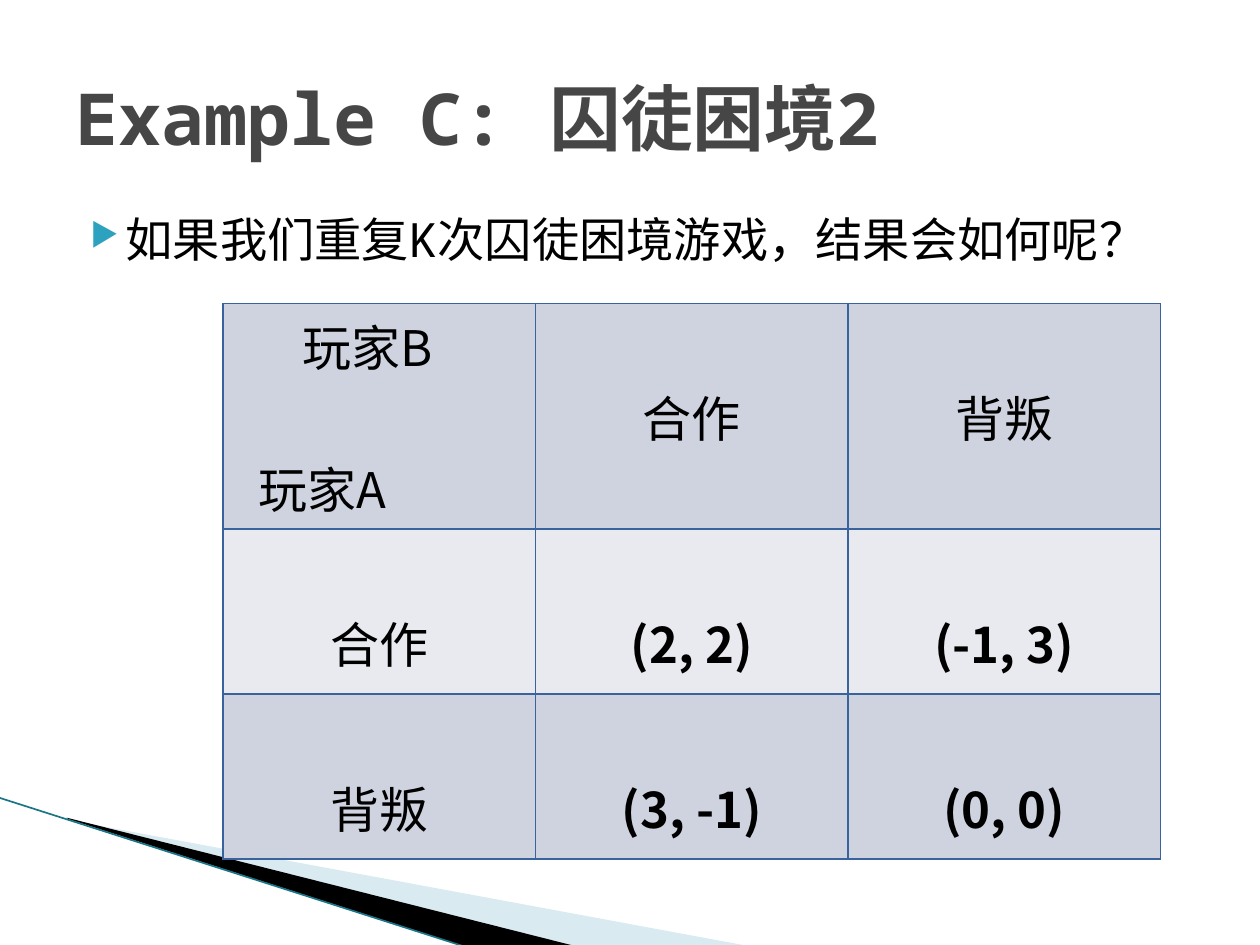
from lxml import etree
from pptx import Presentation
from pptx.dml.color import RGBColor
from pptx.enum.text import MSO_ANCHOR as Anchor, PP_ALIGN as Align
from pptx.oxml.ns import qn
from pptx.util import Inches, Pt

COLORS = {
    "pale": "A0CBDC", "black": "000000", "edge": "1B7587", "bullet": "2DA2BF",
    "title": "464646", "border": "39639D", "band_dark": "CED3DF", "band_light": "E8EAEF",
}
MONO, SANS = "Noto Sans Mono", "Noto Sans CJK SC"


def add_xml(parent, tag, **attributes):
    return etree.SubElement(parent, qn(tag), attributes)


def set_font(paragraph, name, size, color, bold=False):
    font = paragraph.font
    font.name, font.size, font.bold = name, Pt(size), bold
    font.color.rgb = RGBColor.from_string(COLORS[color])
    latin = font._element.find(qn("a:latin"))
    latin.addnext(latin.makeelement(qn("a:ea"), {"typeface": SANS}))


presentation = Presentation()
presentation.slide_width, presentation.slide_height = Inches(10), Inches(7.5)
slide = presentation.slides.add_slide(presentation.slide_layouts[6])

# Corner wedges
wedges = [
    ("pale", [(0.55, 6.51), (5.95, 7.51), (4.56, 7.51), (0.55, 6.5)]),
    ("black", [(0.53, 6.49), (4.57, 7.51), (3.72, 7.52), (0.54, 6.5)]),
]
for color, points in wedges:
    corners = [(Inches(x), Inches(y)) for x, y in points]
    builder = slide.shapes.build_freeform(*corners[0])
    builder.add_line_segments(corners[1:])
    shape = builder.convert_to_shape()
    shape.shadow.inherit = False
    shape.line.fill.background()
    shape.fill.solid()
    shape.fill.fore_color.rgb = RGBColor.from_string(COLORS[color])
    if color == "pale":
        add_xml(next(shape._element.spPr.iter(qn("a:srgbClr"))), "a:alpha", val="40000")

# Line along the wedge
edge = slide.shapes.add_connector(1, Inches(-0.01), Inches(6.33), Inches(3.71), Inches(7.52))
edge.line.width = Pt(0.95)
edge.line.color.rgb = RGBColor.from_string(COLORS["edge"])
add_xml(edge._element.spPr, "a:effectLst")

# Question with its bullet
body = slide.shapes.add_textbox(Inches(0.5), Inches(1.62), Inches(9), Inches(4.95))
body.text_frame.word_wrap = True
paragraph = body.text_frame.paragraphs[0]
paragraph.text = "如果我们重复K次囚徒困境游戏，结果会如何呢？"
properties = paragraph._p.get_or_add_pPr()
properties.set("marL", str(Inches(0.4)))
properties.set("indent", str(Inches(-0.28)))
add_xml(add_xml(properties, "a:buClr"), "a:srgbClr", val=COLORS["bullet"])
add_xml(properties, "a:buSzPct", val="68000")
add_xml(properties, "a:buChar", char="▶")
set_font(paragraph, MONO, 27, "black")

# Title
title = slide.shapes.add_textbox(Inches(0.5), Inches(0.3), Inches(9), Inches(1.25))
title.text_frame.word_wrap = True
title.text_frame.vertical_anchor = Anchor.MIDDLE
paragraph = title.text_frame.paragraphs[0]
paragraph.text = "Example C: 囚徒困境2"
set_font(paragraph, MONO, 41, "title", bold=True)

# Payoff table
rows = [
    ["玩家B\n玩家A", "合作", "背叛"],
    ["合作", "(2, 2)", "(-1, 3)"],
    ["背叛", "(3, -1)", "(0, 0)"],
]
heights = [1.79, 1.31, 1.31]
table = slide.shapes.add_table(
    3, 3, Inches(1.77), Inches(2.41), Inches(7.45), Inches(sum(heights))).table
table.first_row = table.horz_banding = False
for column in table.columns:
    column.width = Inches(2.48)

for r, texts in enumerate(rows):
    table.rows[r].height = Inches(heights[r])
    for c, text in enumerate(texts):
        cell = table.cell(r, c)
        cell.text = text
        cell.vertical_anchor = Anchor.BOTTOM if r else Anchor.MIDDLE
        if r:
            cell.margin_bottom = Inches(0.13)
        for paragraph in cell.text_frame.paragraphs:
            paragraph.alignment = Align.CENTER if r or c else Align.LEFT
            set_font(paragraph, SANS, 28, "black", bold=r > 0 and c > 0)
        cell_properties = cell._tc.get_or_add_tcPr()
        for side in ("a:lnL", "a:lnR", "a:lnT", "a:lnB"):
            border = add_xml(cell_properties, side, w=str(Pt(1)))
            add_xml(add_xml(border, "a:solidFill"), "a:srgbClr", val=COLORS["border"])
        cell.fill.solid()
        band = "band_light" if r == 1 else "band_dark"
        cell.fill.fore_color.rgb = RGBColor.from_string(COLORS[band])

# Player labels stepped apart in the corner cell
player_b, player_a = table.cell(0, 0).text_frame.paragraphs
player_b._p.get_or_add_pPr().set("marL", str(Inches(0.53)))
player_a._p.get_or_add_pPr().set("marL", str(Inches(0.18)))
player_a.space_before = Pt(40.5)

presentation.save("out.pptx")
